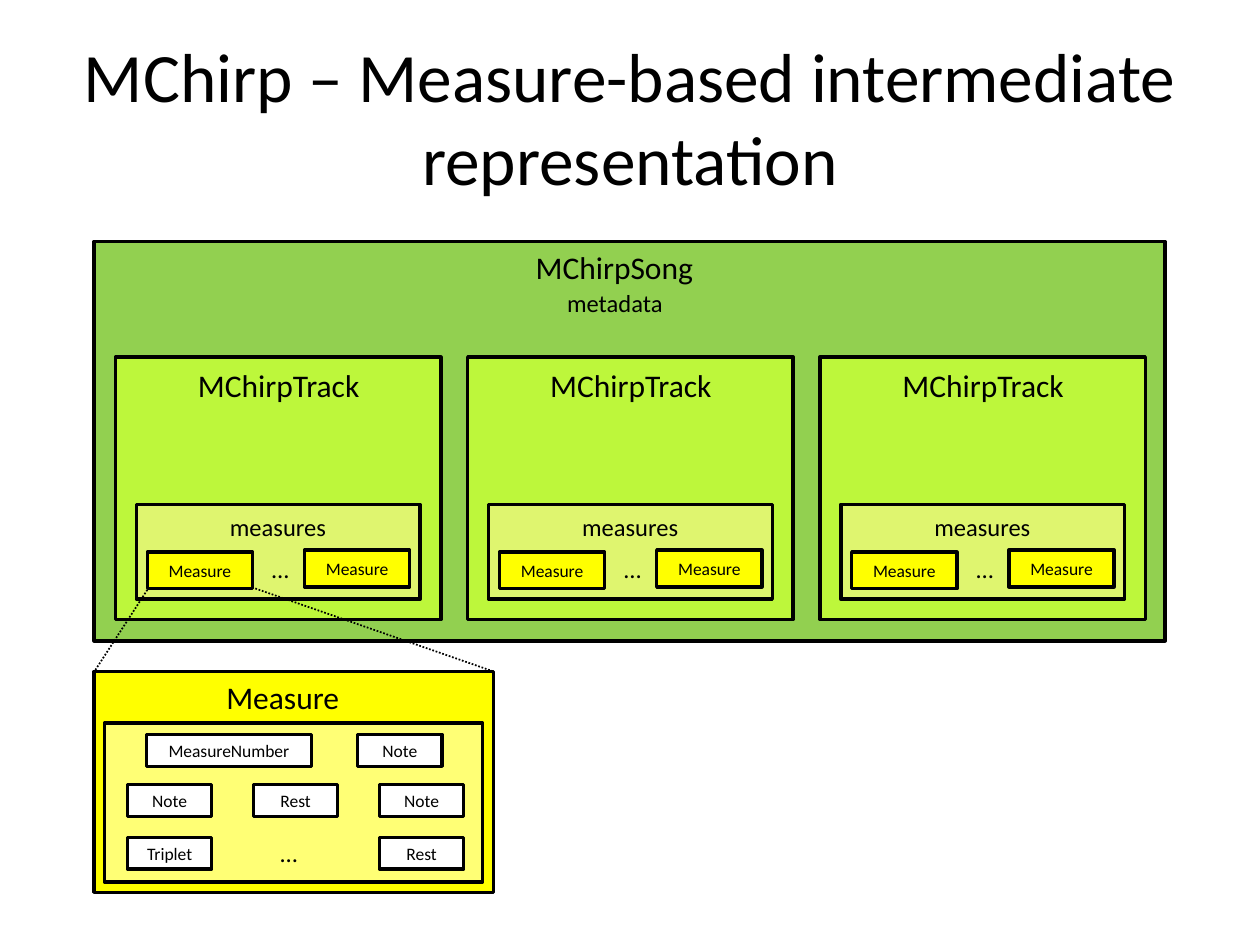
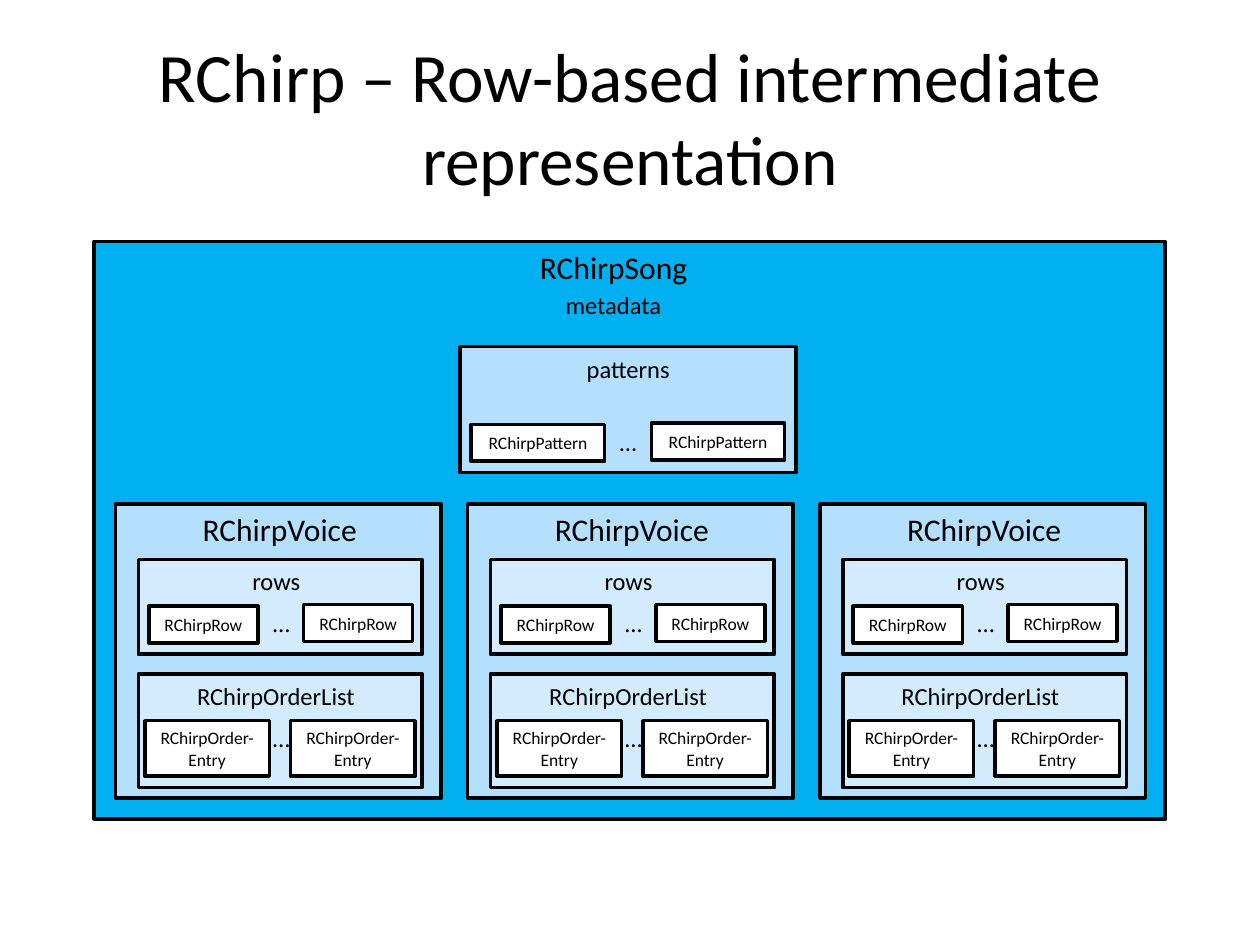
import pptx
import pptx.util
import pptx.dml.color
import pptx.enum.dml
import pptx.enum.shapes
import pptx.enum.text
import pptx.oxml
import pptx.oxml.ns

Cm, Pt = pptx.util.Cm, pptx.util.Pt
FONT, INK = "Calibri", "000000"
TITLE = (1.27, 0.76, 22.86, 3.18)
LEFT, STEP = 2.33, 7.1  # first column and column pitch

# Looks shared by all parts
LOOKS = {
    "head": dict(size=18),
    "sub": dict(size=14),
    "green": dict(fill="92D050"),
    "lime": dict(fill="BDF73B"),
    "pale": dict(fill="DFF56F"),
    "yellow": dict(fill="FFFF00"),
    "cream": dict(fill="FFFF75"),
    "blue": dict(fill="00B0F0"),
    "sky": dict(fill="B4E0FE"),
    "ice": dict(fill="D3ECFD"),
    "white": dict(fill="FFFFFF"),
}


def pair(text, first, dots, last, size, look):
    """Two like chips with an ellipsis between them."""
    return [
        (text, *first, *size, look),
        ("…", *dots, 0.89, 0.86, "sub"),
        (text, *last, *size, look),
    ]


# Parts: text, left, top, width, height, look (in cm)
MSONG = [
    ("", 1.9, 4.87, 21.59, 8.05, "green"),
    ("MChirpSong", 10.52, 4.87, 3.73, 1.02, "head"),
    ("metadata", 11.15, 5.69, 2.49, 0.86, "sub"),
]
RSONG = [
    ("", 1.9, 4.87, 21.59, 11.64, "blue"),
    ("RChirpSong", 10.62, 4.87, 3.5, 1.02, "head"),
    ("metadata", 11.12, 5.72, 2.49, 0.86, "sub"),
]

# Column parts: left is counted from the column edge
TRACK = [
    ("", 0, 7.2, 6.56, 5.29, "lime"),
    ("MChirpTrack", 1.38, 7.25, 3.82, 1.02, "head"),
    ("", 0.42, 10.17, 5.72, 1.91, "pale"),
    ("measures", 2.04, 10.19, 2.47, 0.86, "sub"),
    *pair("Measure", (0.64, 11.13), (2.88, 11.04), (3.81, 11.09),
          (2.12, 0.74), "yellow"),
]
VOICE = [
    ("", 0, 10.16, 6.56, 5.93, "sky"),
    ("RChirpVoice", 1.48, 10.16, 3.66, 1.02, "head"),
    ("", 0.46, 11.28, 5.72, 1.91, "ice"),
    ("rows", 2.49, 11.28, 1.5, 0.86, "sub"),
    *pair("RChirpRow", (0.67, 12.22), (2.9, 12.14), (3.79, 12.19),
          (2.2, 0.74), "white"),
    ("", 0.46, 13.59, 5.72, 2.29, "ice"),
    ("RChirpOrderList", 1.37, 13.61, 3.73, 0.86, "sub"),
    *pair("RChirpOrder-Entry", (0.59, 14.53), (2.9, 14.45), (3.53, 14.53),
          (2.51, 1.12), "white"),
]
PATTERN = [
    ("", 9.27, 6.99, 6.78, 2.54, "sky"),
    ("patterns", 11.56, 7.01, 2.21, 0.86, "sub"),
    *pair("RChirpPattern", (9.5, 8.56), (12.22, 8.48), (13.13, 8.53),
          (2.69, 0.74), "white"),
]

# Measure close-up: its frame, top row and a grid of notes
ZOOM = [
    ("", 1.9, 13.54, 8.05, 4.45, "yellow"),
    ("Measure", 4.29, 13.54, 2.82, 1.02, "head"),
    ("", 2.11, 14.58, 7.62, 3.2, "cream"),
    ("MeasureNumber", 2.95, 14.81, 3.33, 0.64, "white"),
    ("Note", 7.21, 14.81, 1.7, 0.64, "white"),
    ("…", 5.38, 16.76, 0.89, 0.86, "sub"),
]
NOTES = [("Note", "Rest", "Note"), ("Triplet", None, "Rest")]
RAYS = [(2.97, 11.89, 1.9, 13.54), (5.08, 11.84, 9.96, 13.54)]


def tint(code):
    return pptx.dml.color.RGBColor.from_string(code)


def write(frame, text, size=10, color=INK):
    frame.text = text
    para = frame.paragraphs[0]
    para.alignment = pptx.enum.text.PP_ALIGN.CENTER
    font = para.runs[0].font
    font.name, font.size = FONT, Pt(size)
    font.color.rgb = tint(color)


def place(host, text, x, y, w, h, look):
    """Draw a filled box, or a bare label when the look has no fill."""
    style = LOOKS[look]
    spot = [Cm(v) for v in (x, y, w, h)]
    if "fill" not in style:
        frame = host.add_textbox(*spot).text_frame
        frame.word_wrap = False
        frame.auto_size = pptx.enum.text.MSO_AUTO_SIZE.SHAPE_TO_FIT_TEXT
        write(frame, text, **style)
        return
    box = host.add_shape(pptx.enum.shapes.MSO_SHAPE.RECTANGLE, *spot)
    box.shadow.inherit = False
    box.fill.solid()
    box.fill.fore_color.rgb = tint(style["fill"])
    box.line.color.rgb = tint(INK)
    box.line.width = Pt(2)
    if text:
        box.text_frame.word_wrap = True
        box.text_frame.vertical_anchor = pptx.enum.text.MSO_ANCHOR.MIDDLE
        write(box.text_frame, text)


def build(host, parts, shift=0):
    for text, x, *rest in parts:
        place(host, text, x + shift, *rest)


def ray(host, *ends):
    line = host.add_connector(pptx.enum.shapes.MSO_CONNECTOR.STRAIGHT,
                              *[Cm(v) for v in ends])
    line.line.color.rgb = tint(INK)
    line.line.width = Pt(1)
    line.line.dash_style = pptx.enum.dml.MSO_LINE.ROUND_DOT
    props = line._element.find(pptx.oxml.ns.qn("p:spPr"))
    props.append(pptx.oxml.parse_xml(
        "<a:effectLst %s/>" % pptx.oxml.ns.nsdecls("a")))


def start(deck, text):
    slide = deck.slides.add_slide(deck.slide_layouts[5])
    title = slide.shapes.title
    title.left, title.top, title.width, title.height = map(Cm, TITLE)
    frame = title.text_frame
    frame.auto_size = pptx.enum.text.MSO_AUTO_SIZE.NONE
    frame.vertical_anchor = pptx.enum.text.MSO_ANCHOR.MIDDLE
    write(frame, text, size=39.6)
    return slide.shapes


def main():
    deck = pptx.Presentation()
    deck.slide_width, deck.slide_height = Cm(25.4), Cm(19.05)

    # Measure-based song
    host = start(deck, "MChirp – Measure-based intermediate representation")
    build(host, MSONG)
    for col in range(3):
        build(host, TRACK, LEFT + col * STEP)
    build(host, ZOOM)
    for row, names in enumerate(NOTES):
        for col, name in enumerate(names):
            if name:
                place(host, name, 2.57 + col * 2.54, 15.82 + row * 1.06,
                      1.7, 0.64, "white")
    for ends in RAYS:
        ray(host, *ends)

    # Row-based song, one group for each block
    host = start(deck, "RChirp – Row-based intermediate representation")
    build(host, RSONG)
    build(host.add_group_shape().shapes, PATTERN)
    for col in range(3):
        build(host.add_group_shape().shapes, VOICE, LEFT + col * STEP)

    deck.save("out.pptx")


if __name__ == "__main__":
    main()
